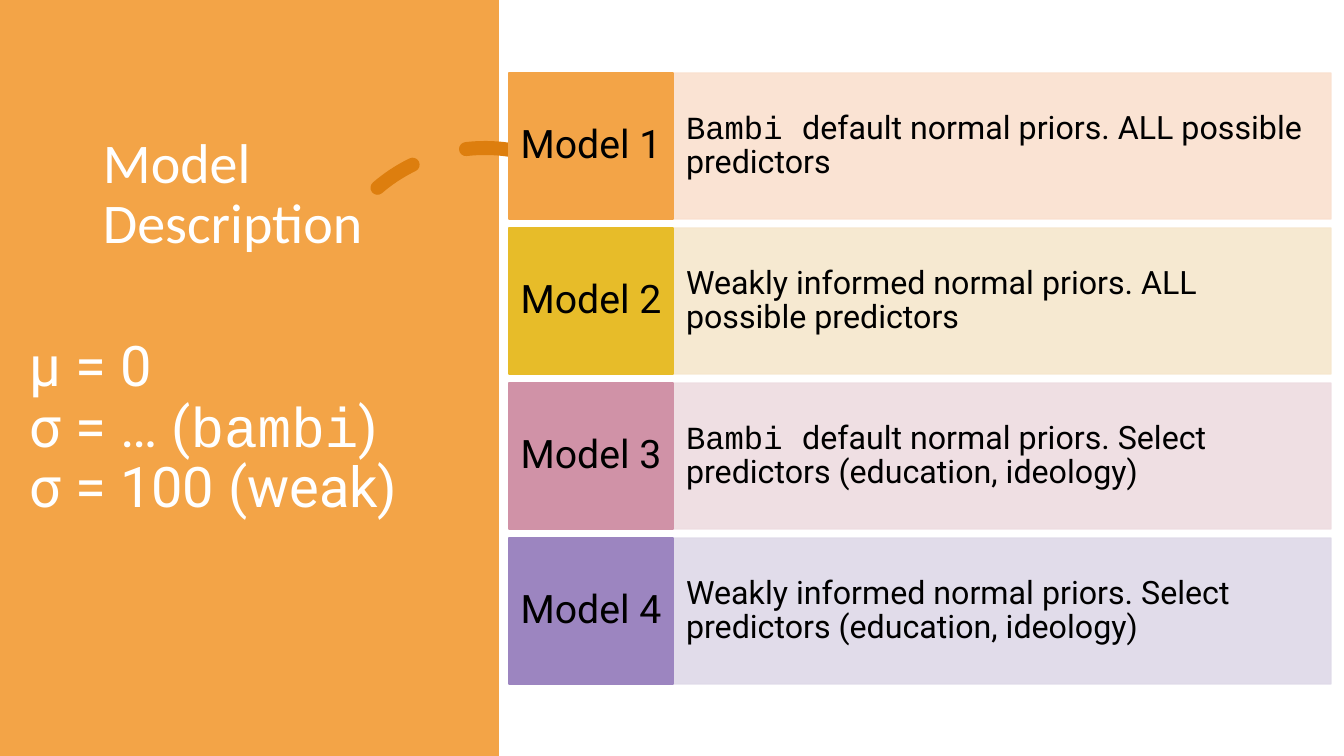
import pptx
import pptx.util
import pptx.dml.color
import pptx.enum.dml
import pptx.enum.shapes
import pptx.enum.text
import pptx.oxml
import pptx.oxml.ns
from dataclasses import dataclass
from lxml import etree

PX = 914400 / 100.8  # EMU in one px


@dataclass(frozen=True)
class Theme:
    white: str = "FFFFFF"
    black: str = "000000"
    panel: str = "F3A447"
    arc: str = "DD7E0E"
    title_font: str = "Calibri"
    body_font: str = "Roboto"
    code_font: str = "Courier New"
    heading_size: int = 40
    label_size: int = 28
    description_size: int = 23
    line_spacing: float = 0.9


THEME = Theme()
ALIGN = pptx.enum.text.PP_ALIGN
SHAPE = pptx.enum.shapes.MSO_SHAPE

# Label, label colour, description colour, description as (text, is code) runs
MODELS = [
    ("Model 1", "F3A447", "FAE0CF",
     [("Bambi ", True), ("default normal priors. ALL possible predictors", False)]),
    ("Model 2", "E7BC29", "F6E7CD",
     [("Weakly informed normal priors. ALL possible predictors", False)]),
    ("Model 3", "D092A7", "EEDCE1",
     [("Bambi ", True),
      ("default normal priors. Select predictors (education, ideology)", False)]),
    ("Model 4", "9C85C0", "DED9E8",
     [("Weakly informed normal priors. Select predictors (education, ideology)", False)]),
]

FORMULAS = [
    [("µ = 0", False)],
    [("σ = … (", False), ("bambi", True), (")", False)],
    [("σ = 100 (weak)", False)],
]


def emu(*lengths):
    return [round(length * PX) for length in lengths]


def rgb(value):
    return pptx.dml.color.RGBColor.from_string(value)


def write_text(text_frame, lines, size, color, align=ALIGN.LEFT,
               font=THEME.body_font, insets=(10, 5)):
    """Fill a frame with one paragraph per line of (text, is code) runs."""
    text_frame.word_wrap = True
    text_frame.auto_size = pptx.enum.text.MSO_AUTO_SIZE.NONE
    text_frame.vertical_anchor = pptx.enum.text.MSO_ANCHOR.MIDDLE
    text_frame.margin_left, text_frame.margin_top = emu(*insets)
    text_frame.margin_right, text_frame.margin_bottom = emu(*insets)
    for index, line in enumerate(lines):
        paragraph = text_frame.add_paragraph() if index else text_frame.paragraphs[0]
        paragraph.alignment = align
        paragraph.line_spacing = THEME.line_spacing
        for text, is_code in line:
            run = paragraph.add_run()
            run.text = text
            run.font.name = THEME.code_font if is_code else font
            run.font.size = pptx.util.Pt(size)
            run.font.color.rgb = rgb(color)


def add_rectangle(slide, box, color, outlined=True, opacity=100):
    shape = slide.shapes.add_shape(SHAPE.RECTANGLE, *emu(*box))
    shape.shadow.inherit = False
    shape.fill.solid()
    shape.fill.fore_color.rgb = rgb(color)
    if outlined:
        shape.line.color.rgb = rgb(color)
        shape.line.width = pptx.util.Pt(1)
    else:
        shape.line.fill.background()
    if opacity < 100:
        for color_element in shape.element.spPr.iter(pptx.oxml.ns.qn("a:srgbClr")):
            alpha = etree.SubElement(color_element, pptx.oxml.ns.qn("a:alpha"))
            alpha.set("val", str(opacity * 1000))
    return shape


def add_dashed_arc(slide, box):
    arc = slide.shapes.add_shape(SHAPE.ARC, *emu(*box))
    arc.shadow.inherit = False
    arc.rotation = 345.8
    arc.adjustments[0] = 146.13
    arc.adjustments[1] = 0
    arc.fill.background()
    arc.line.color.rgb = rgb(THEME.arc)
    arc.line.width = pptx.util.Pt(10)
    arc.line.dash_style = pptx.enum.dml.MSO_LINE.DASH
    arc.line._get_or_add_ln().set("cap", "rnd")


def add_side_panel(slide, box):
    """Coloured panel with the title, the formulas and the dashed arc."""
    left, top, width, height = box
    add_rectangle(slide, box, THEME.panel, outlined=False)
    add_dashed_arc(slide, (left + 320, top + 148, 330, 330))

    # Title, raised above the panel
    title = slide.shapes.title
    slide.shapes.element.append(title.element)
    title.left, title.top, title.width, title.height = emu(left + 93, top + 71, 326, 249)
    write_text(title.text_frame, [[("Model Description", False)]],
               THEME.heading_size, THEME.white, font=THEME.title_font)

    # Prior parameters
    formulas = slide.shapes.add_textbox(*emu(left + 20, top + 253, width - 65, 352))
    write_text(formulas.text_frame, FORMULAS, THEME.heading_size, THEME.white)


def add_model_rows(slide, box, label_width=164, gap=9):
    """Equal rows, each with a label cell and a description cell."""
    left, top, width, height = box
    row_height = (height - gap * (len(MODELS) - 1)) / len(MODELS)
    for index, (label, label_color, tint, description) in enumerate(MODELS):
        row_top = top + index * (row_height + gap)
        description_cell = add_rectangle(
            slide, (left + label_width, row_top, width - label_width, row_height),
            tint, opacity=90)
        write_text(description_cell.text_frame, [description],
                   THEME.description_size, THEME.black, insets=(13, 37))
        label_cell = add_rectangle(
            slide, (left, row_top, label_width, row_height), label_color)
        write_text(label_cell.text_frame, [[(label, False)]], THEME.label_size,
                   THEME.black, align=ALIGN.CENTER, insets=(9, 14))


def main():
    presentation = pptx.Presentation()
    presentation.slide_width, presentation.slide_height = emu(1344, 756)
    slide = presentation.slides.add_slide(presentation.slide_layouts[5])
    slide.background.fill.solid()
    slide.background.fill.fore_color.rgb = rgb(THEME.white)
    add_side_panel(slide, (0, 0, 499, 756))
    add_model_rows(slide, (509, 73, 822, 611))
    presentation.save("out.pptx")


if __name__ == "__main__":
    main()
